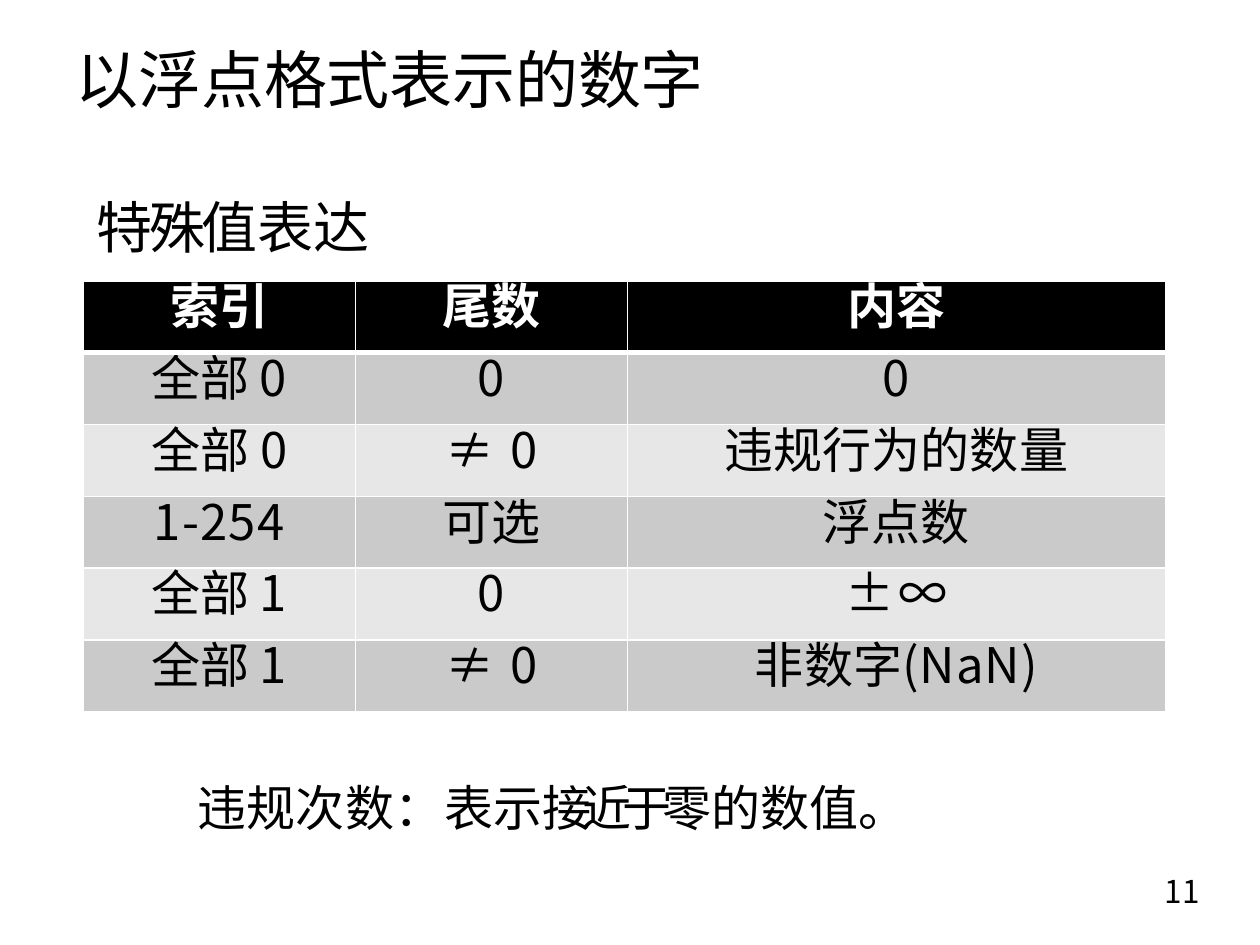
from dataclasses import dataclass

import lxml.etree
import pptx
import pptx.dml.color
import pptx.enum.text
import pptx.oxml.ns
import pptx.util

FONT = "Noto Sans CJK SC"
BLACK, WHITE, DARK, LIGHT = "000000", "FFFFFF", "CACACA", "E7E7E7"
ROW = 0.57
COLS = (2.16, 2.16, 4.27)
Inch = pptx.util.Inches
Pt = pptx.util.Pt
Align = pptx.enum.text.PP_ALIGN
Runs = list[tuple[str, float]]


@dataclass
class Label:
    left: float
    top: float
    width: float
    height: float
    runs: Runs
    size: float
    inset: float = 0.01
    before: float = 1
    indent: float = 0.01
    title: bool = False


def color(code: str) -> pptx.dml.color.RGBColor:
    return pptx.dml.color.RGBColor.from_string(code)


def child(parent, tag: str, **attrs: str):
    node = lxml.etree.SubElement(parent, pptx.oxml.ns.qn(tag))
    for key, value in attrs.items():
        node.set(key, value)
    return node


def write(frame, runs: Runs, *, size: float, fill: str = BLACK, bold: bool = False,
          align=Align.LEFT, before: float = 0, line: float | None = None,
          indent: float = 0) -> None:
    para = frame.paragraphs[0]
    para.alignment = align
    para.space_before = Pt(before)
    if line:
        para.line_spacing = Pt(line)
    props = para._p.get_or_add_pPr()
    props.set("marL", str(Inch(indent)))
    props.set("indent", "0")
    for text, gap in runs:
        run = para.add_run()
        run.text = text
        run.font.size = Pt(size)
        run.font.bold = bold
        run.font.name = FONT
        run.font.color.rgb = color(fill)
        style = run._r.get_or_add_rPr()
        style.set("spc", str(round(gap * 100)))
        child(style, "a:ea", typeface=FONT)


def draw(slide, label: Label) -> None:
    spot = [Inch(n) for n in (label.left, label.top, label.width, label.height)]
    if label.title:
        shape = slide.shapes.title
        shape.left, shape.top, shape.width, shape.height = spot
    else:
        shape = slide.shapes.add_textbox(*spot)
    frame = shape.text_frame
    frame.word_wrap = True
    frame.auto_size = pptx.enum.text.MSO_AUTO_SIZE.SHAPE_TO_FIT_TEXT
    frame.vertical_anchor = pptx.enum.text.MSO_ANCHOR.TOP
    frame.margin_left = frame.margin_right = frame.margin_bottom = 0
    frame.margin_top = Inch(label.inset)
    write(frame, label.runs, size=label.size, before=label.before, indent=label.indent)


def edge(cell, row: int) -> None:
    props = cell._tc.get_or_add_tcPr()
    thick = {"B": 3} if row == 0 else {"T": 3} if row == 1 else {}
    for side in "LRTB":
        line = child(props, f"a:ln{side}", w=str(Pt(thick.get(side, 1))))
        child(child(line, "a:solidFill"), "a:srgbClr", val=WHITE)


def grid(slide, rows: list[list[Runs]]) -> None:
    table = slide.shapes.add_table(
        len(rows), len(COLS), Inch(0.66), Inch(2.23),
        Inch(sum(COLS)), Inch(ROW * len(rows))).table
    for col, width in zip(table.columns, COLS):
        col.width = Inch(width)
    for i, row in enumerate(rows):
        table.rows[i].height = Inch(ROW)
        head = i == 0
        for j, runs in enumerate(row):
            cell = table.cell(i, j)
            cell.margin_left = cell.margin_right = 0
            cell.margin_top = cell.margin_bottom = 0
            edge(cell, i)
            cell.fill.solid()
            cell.fill.fore_color.rgb = color(BLACK if head else DARK if i % 2 else LIGHT)
            write(cell.text_frame, runs, size=28, fill=WHITE if head else BLACK,
                  bold=head, align=Align.CENTER, line=33 if i < 2 else 33.1)


ZERO = [("0", 0)]
SOME = [("≠ 0", 1.4)]
ONES = [("全部 ", -0.1), ("1", 0)]
ROWS = [
    [[("索引", -0.1)], [("尾数", 0)], [("内容", -0.1)]],
    [[("全部 ", -0.1), ("0", 0)], ZERO, ZERO],
    [[("全部 0", 0)], SOME, [("违规行为的数量", 0.1)]],
    [[("1-254", 0.8)], [("可选", 0)], [("浮点数", 0.1)]],
    [ONES, ZERO, [("±∞", 2.5)]],
    [ONES, SOME, [("非数字", 0.1), ("(NaN)", 0.6)]],
]
NOTE = [("违规次数", 0.1), ("：", 0.5), ("表示", 0.1), ("接近于零", -5),
        ("的", -3.4), ("数值", -0.2), ("。", 4.5)]
LABELS = [
    Label(0.59, 0.31, 6.03, 0.63, [("以浮点格式表示的数字", -0.1)], 36, title=True),
    Label(9.05, 6.82, 0.54, 0.47, [("11", 0.6)], 18, inset=0.1, before=7.1, indent=0.19),
    Label(0.76, 1.52, 2.99, 0.56, [("特殊值", -2.2), ("表达", -0.1)], 32, before=0.9),
    Label(1.56, 6.15, 5.48, 0.5, NOTE, 28, inset=0.02, before=1.1),
]

deck = pptx.Presentation()
deck.slide_width, deck.slide_height = Inch(10), Inch(7.5)
slide = deck.slides.add_slide(deck.slide_layouts[5])
for label in LABELS:
    draw(slide, label)
grid(slide, ROWS)
deck.save("out.pptx")
